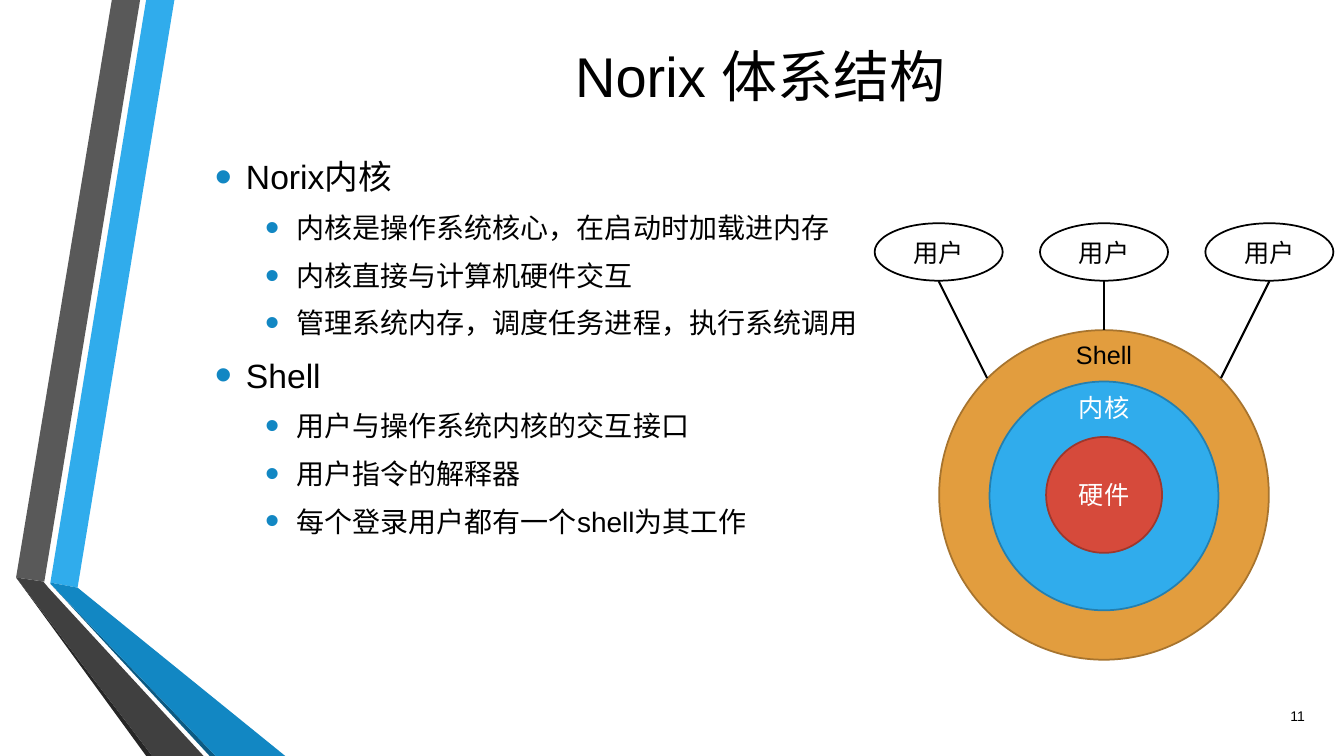
from math import sqrt

from lxml.etree import SubElement
from pptx import Presentation
from pptx.dml.color import RGBColor
from pptx.enum.shapes import MSO_CONNECTOR, MSO_SHAPE
from pptx.enum.text import MSO_ANCHOR, MSO_AUTO_SIZE, PP_ALIGN
from pptx.oxml.ns import qn
from pptx.util import Pt

PX = 9144  # EMU per px, 100 px to the inch
FONT = "Arial"

BLACK = RGBColor(0x00, 0x00, 0x00)
WHITE = RGBColor(0xFF, 0xFF, 0xFF)
SKY = RGBColor(0x30, 0xAC, 0xEC)
SKY_EDGE = RGBColor(0x24, 0x7F, 0xAF)
BLUE = RGBColor(0x12, 0x87, 0xC3)
NAVY = RGBColor(0x0C, 0x5A, 0x82)
GRAY = RGBColor(0x59, 0x59, 0x59)
DARK_GRAY = RGBColor(0x40, 0x40, 0x40)
SHADOW_GRAY = RGBColor(0x26, 0x26, 0x26)
ORANGE = RGBColor(0xE2, 0x9D, 0x3E)
ORANGE_EDGE = RGBColor(0xA7, 0x74, 0x2E)
RED = RGBColor(0xD6, 0x4A, 0x3B)
RED_EDGE = RGBColor(0x9E, 0x37, 0x2C)

RIBBONS = [
    (SKY, [(50, 578), (77, 583), (173, 0), (145, 0)]),
    (GRAY, [(139, 0), (111, 0), (16, 573), (44, 577)]),
    (SHADOW_GRAY, [(16, 573), (145, 750), (151, 750)]),
    (NAVY, [(50, 579), (208, 750), (214, 750)]),
    (BLUE, [(50, 578), (50, 579), (214, 750), (283, 750), (77, 583)]),
    (DARK_GRAY, [(202, 750), (48, 583), (43, 577), (16, 573), (151, 750)]),
]

TOPICS = [
    ("Norix内核", ["内核是操作系统核心，在启动时加载进内存",
                 "内核直接与计算机硬件交互",
                 "管理系统内存，调度任务进程，执行系统调用"]),
    ("Shell", ["用户与操作系统内核的交互接口",
               "用户指令的解释器",
               "每个登录用户都有一个shell为其工作"]),
]


def write(para, text, size=18, color=BLACK, align=PP_ALIGN.CENTER):
    para.alignment = align
    span = para.add_run()
    span.text = text
    span.font.name = FONT
    span.font.size = Pt(size)
    span.font.color.rgb = color


class SlideBuilder:
    def __init__(self, page):
        self.page = page
        self.shapes = page.shapes

    def place(self, shape, left, top, width, height):
        shape.left, shape.top = left * PX, top * PX
        shape.width, shape.height = width * PX, height * PX

    def ribbon(self, color, points):
        outline = self.shapes.build_freeform(*points[0], scale=PX)
        outline.add_line_segments(points[1:], close=True)
        shape = outline.convert_to_shape()
        shape.shadow.inherit = False
        shape.fill.solid()
        shape.fill.fore_color.rgb = color
        shape.line.fill.background()

    def title(self, text, *bounds):
        title = self.shapes.title
        self.place(title, *bounds)
        title.text_frame.vertical_anchor = MSO_ANCHOR.MIDDLE
        write(title.text_frame.paragraphs[0], text, size=40)

    def bullets(self, topics, *bounds):
        body = self.page.placeholders[1]
        self.place(body, *bounds)
        frame = body.text_frame
        frame.auto_size = MSO_AUTO_SIZE.NONE
        frame.margin_top = 20 * PX
        items = []
        for heading, details in topics:
            items.append((0, heading))
            items += [(1, detail) for detail in details]
        for number, (level, text) in enumerate(items):
            para = frame.add_paragraph() if number else frame.paragraphs[0]
            para.level = level
            para.space_after = Pt(6)
            write(para, text, size=20 if level else 24, align=PP_ALIGN.LEFT)
            self.bullet(para, 31 + 50 * level)

    def bullet(self, para, indent):
        props = para._p.get_or_add_pPr()
        props.set("marL", str(indent * PX))
        props.set("indent", str(-31 * PX))
        color = SubElement(props, qn("a:buClr"))
        SubElement(color, qn("a:srgbClr"), val=str(BLUE))
        SubElement(props, qn("a:buSzPct"), val="145000")
        SubElement(props, qn("a:buFont"), typeface=FONT)
        SubElement(props, qn("a:buChar"), char="•")

    def label(self, text, left, top, width, height, **style):
        box = self.shapes.add_textbox(0, 0, 0, 0)
        self.place(box, left, top, width, height)
        box.text_frame.word_wrap = True
        box.text_frame.vertical_anchor = MSO_ANCHOR.MIDDLE
        write(box.text_frame.paragraphs[0], text, **style)

    def ellipse(self, center_x, center_y, width, height, fill, edge, text="", color=BLACK):
        shape = self.shapes.add_shape(
            MSO_SHAPE.OVAL, round((center_x - width / 2) * PX),
            round((center_y - height / 2) * PX), width * PX, height * PX)
        shape.shadow.inherit = False
        shape.fill.solid()
        shape.fill.fore_color.rgb = fill
        shape.line.color.rgb = edge
        shape.line.width = Pt(1.25)
        if text:
            shape.text_frame.vertical_anchor = MSO_ANCHOR.MIDDLE
            write(shape.text_frame.paragraphs[0], text, color=color)

    def line(self, *ends):
        line = self.shapes.add_connector(MSO_CONNECTOR.STRAIGHT, *(end * PX for end in ends))
        line.line.color.rgb = BLACK
        line.line.width = Pt(1.5)
        SubElement(line._element.spPr, qn("a:effectLst"))


def main():
    deck = Presentation()
    deck.slide_width, deck.slide_height = 1333 * PX, 750 * PX
    builder = SlideBuilder(deck.slides.add_slide(deck.slide_layouts[1]))

    # Folded ribbons on the left
    for color, points in RIBBONS:
        builder.ribbon(color, points)

    # Title, list and page number
    builder.title("Norix 体系结构", 203, 26, 1102, 98)
    builder.bullets(TOPICS, 203, 135, 1102, 541)
    builder.label("11", 1244, 690, 60, 40, size=10, align=PP_ALIGN.RIGHT)

    # Rings of the system
    center_x, center_y, shell_size = 1095, 491, 327
    builder.ellipse(center_x, center_y, shell_size, shell_size, ORANGE, ORANGE_EDGE)
    builder.ellipse(center_x, 492, 227, 227, SKY, SKY_EDGE)
    builder.ellipse(center_x, center_y, 115, 115, RED, RED_EDGE, "硬件", WHITE)
    builder.label("Shell", center_x - 38, 332, 76, 40)
    builder.label("内核", center_x - 38, 384, 76, 40, color=WHITE)

    # Users, each joined to the rim of the shell
    radius = shell_size / 2
    diagonal = round(radius / sqrt(2))
    rim = [(-diagonal, -diagonal), (0, -round(radius)), (diagonal, -diagonal)]
    for column, (rim_x, rim_y) in enumerate(rim):
        user_x = center_x + (column - 1) * 164
        builder.ellipse(user_x, 250, 127, 57, WHITE, BLACK, "用户")
        builder.line(user_x, 279, center_x + rim_x, center_y + rim_y)

    deck.save("out.pptx")


if __name__ == "__main__":
    main()
